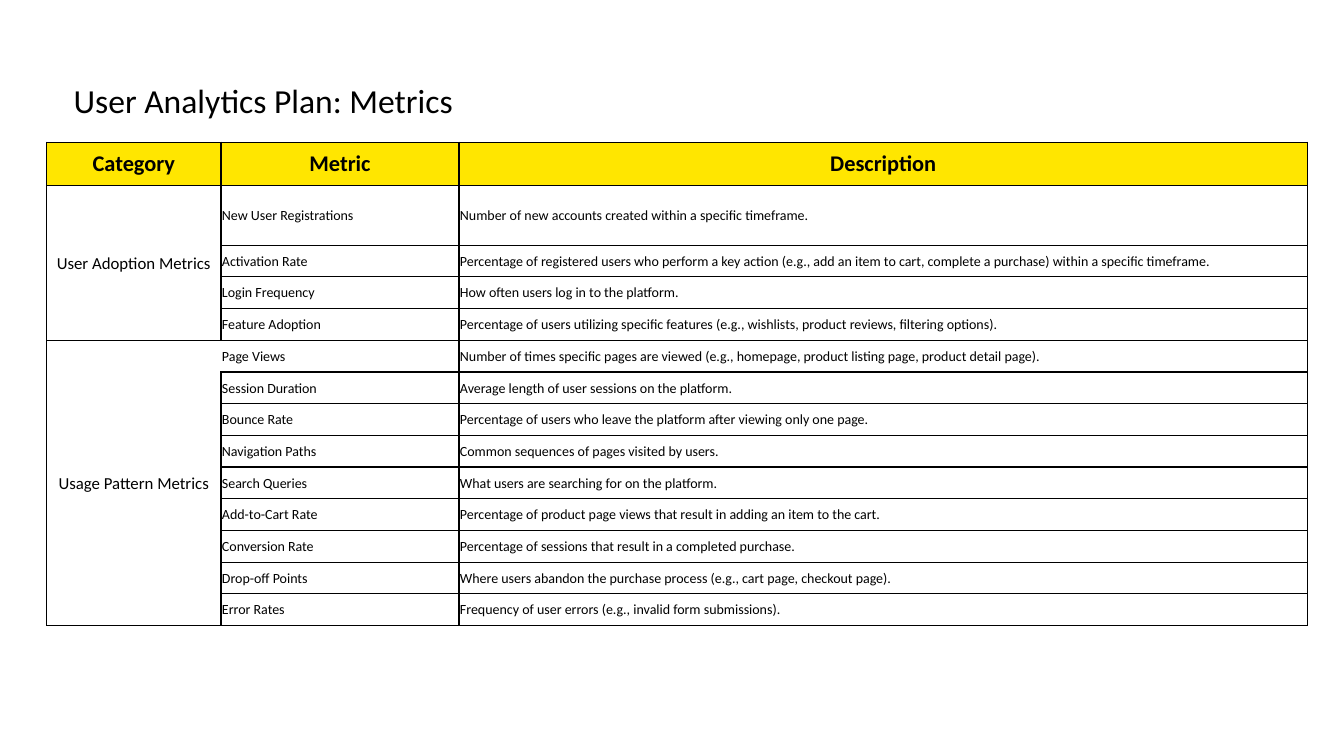
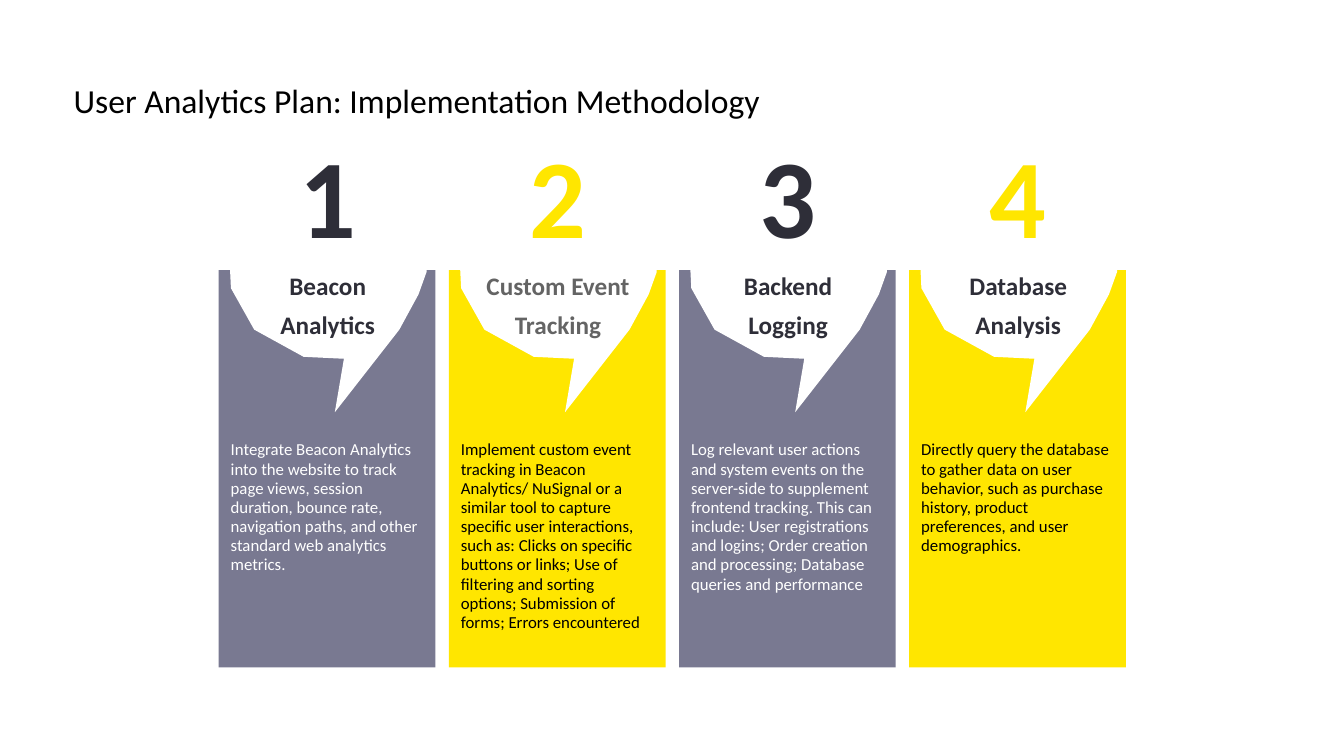
from dataclasses import dataclass

from lxml import etree
from pptx import Presentation
from pptx.dml.color import RGBColor
from pptx.enum.shapes import MSO_SHAPE
from pptx.enum.text import MSO_ANCHOR, MSO_AUTO_SIZE, PP_ALIGN
from pptx.oxml.ns import qn
from pptx.slide import Slide
from pptx.util import Pt

RECTANGLE = MSO_SHAPE.RECTANGLE
TOP, MIDDLE = MSO_ANCHOR.TOP, MSO_ANCHOR.MIDDLE
LEFT, CENTER = PP_ALIGN.LEFT, PP_ALIGN.CENTER
GROW = MSO_AUTO_SIZE.SHAPE_TO_FIT_TEXT

COLORS = {
    "black": "000000",
    "white": "FFFFFF",
    "yellow": "FFE600",
    "slate": "797991",
    "ink": "2E2E38",
    "gray": "646464",
}
FONT = "Calibri"

HEADERS = ("Category", "Metric", "Description")
COLUMN_WIDTHS = (124.6, 170, 606)
HEADER_HEIGHT, FIRST_HEIGHT, ROW_HEIGHT = 31, 42.6, 22.65
TABLE_LEFT, TABLE_TOP = 33.3, 101.5

CARD_LEFT, CARD_TOP, CARD_WIDTH, CARD_HEIGHT = 156.2, 193, 154.8, 283.7
CARD_PITCH = 164.4
BUBBLE_INDENT, BUBBLE_TOP = 7.4, 114.5
BUBBLE_OUTLINE = (
    (16.6, 23.8), (41, 6.5), (64.8, 0), (95, 3.6), (121, 21.6), (134.6, 40.3),
    (141.1, 62.6), (141.1, 79.9), (135.4, 95.8), (121.7, 121), (75.6, 180),
    (82.1, 141.8), (53.3, 140.4), (18, 121), (1.4, 91.4), (0, 62.6), (7.2, 35.3),
)


@dataclass(frozen=True)
class MetricGroup:
    category: str
    metrics: tuple[tuple[str, str], ...]
    open_start: bool = False


@dataclass(frozen=True)
class Step:
    heading: tuple[str, ...]
    detail: str
    card: str
    detail_color: str
    number_color: str
    heading_color: str = "ink"


GROUPS = (
    MetricGroup("User Adoption Metrics", (
        ("New User Registrations", "Number of new accounts created within a specific timeframe."),
        ("Activation Rate", "Percentage of registered users who perform a key action (e.g., add an item "
         "to cart, complete a purchase) within a specific timeframe."),
        ("Login Frequency", "How often users log in to the platform."),
        ("Feature Adoption", "Percentage of users utilizing specific features (e.g., wishlists, "
         "product reviews, filtering options)."),
    )),
    MetricGroup("Usage Pattern Metrics", (
        ("Page Views", "Number of times specific pages are viewed (e.g., homepage, "
         "product listing page, product detail page)."),
        ("Session Duration", "Average length of user sessions on the platform."),
        ("Bounce Rate", "Percentage of users who leave the platform after viewing only one page."),
        ("Navigation Paths", "Common sequences of pages visited by users."),
        ("Search Queries", "What users are searching for on the platform."),
        ("Add-to-Cart Rate", "Percentage of product page views that result in adding an item to the cart."),
        ("Conversion Rate", "Percentage of sessions that result in a completed purchase."),
        ("Drop-off Points", "Where users abandon the purchase process (e.g., cart page, checkout page)."),
        ("Error Rates", "Frequency of user errors (e.g., invalid form submissions)."),
    ), open_start=True),
)

STEPS = (
    Step(("Beacon", "Analytics"),
         "Integrate Beacon Analytics into the website to track page views, session duration, "
         "bounce rate, navigation paths, and other standard web analytics metrics.",
         "slate", "white", "ink"),
    Step(("Custom Event Tracking",),
         "Implement custom event tracking in Beacon Analytics/ NuSignal or a similar tool to capture "
         "specific user interactions, such as: Clicks on specific buttons or links; Use of filtering "
         "and sorting options; Submission of forms; Errors encountered",
         "yellow", "black", "yellow", "gray"),
    Step(("Backend", "Logging"),
         "Log relevant user actions and system events on the server-side to supplement frontend "
         "tracking. This can include: User registrations and logins; Order creation and processing; "
         "Database queries and performance",
         "slate", "white", "ink"),
    Step(("Database Analysis",),
         "Directly query the database to gather data on user behavior, such as purchase history, "
         "product preferences, and user demographics.",
         "yellow", "black", "yellow"),
)


def rgb(name: str) -> RGBColor:
    return RGBColor.from_string(COLORS[name])


def style(font, size: float, color: str, bold: bool = False) -> None:
    font.name, font.size, font.bold = FONT, Pt(size), bold
    font.color.rgb = rgb(color)


def set_margins(holder, left: float, top: float, right: float, bottom: float) -> None:
    holder.margin_left, holder.margin_top = Pt(left), Pt(top)
    holder.margin_right, holder.margin_bottom = Pt(right), Pt(bottom)


def paint(shape, color: str) -> None:
    shape.shadow.inherit = False
    shape.fill.solid()
    shape.fill.fore_color.rgb = rgb(color)
    shape.line.fill.background()


def add_title(slide: Slide, text: str, width: float) -> None:
    title = slide.shapes.add_textbox(Pt(52.6), Pt(57), Pt(width), Pt(28.8)).text_frame
    set_margins(title, 0, 0, 0, 0)
    title.word_wrap = False
    title.auto_size = GROW
    title.text = text
    style(title.paragraphs[0].font, 24, "black")


def set_borders(cell, hidden: str = "") -> None:
    properties = cell._tc.get_or_add_tcPr()
    for side in "LRTB":
        border = etree.SubElement(properties, qn(f"a:ln{side}"), w=str(Pt(1)))
        if side == hidden:
            etree.SubElement(border, qn("a:noFill"))
        else:
            fill = etree.SubElement(border, qn("a:solidFill"))
            etree.SubElement(fill, qn("a:srgbClr"), val=COLORS["black"])


def fill_cell(cell, text: str, size: float, align=LEFT, fill: str = "white",
              bold: bool = False, hidden: str = "") -> None:
    set_borders(cell, hidden)
    cell.fill.solid()
    cell.fill.fore_color.rgb = rgb(fill)
    cell.vertical_anchor = MIDDLE
    set_margins(cell, 0.7, 0.7, 0.7, 0)
    cell.text = text
    paragraph = cell.text_frame.paragraphs[0]
    paragraph.alignment = align
    style(paragraph.font, size, "black", bold)


def add_metrics_table(slide: Slide) -> None:
    metric_count = sum(len(group.metrics) for group in GROUPS)
    heights = [HEADER_HEIGHT, FIRST_HEIGHT] + [ROW_HEIGHT] * (metric_count - 1)
    table = slide.shapes.add_table(
        len(heights), len(HEADERS), Pt(TABLE_LEFT), Pt(TABLE_TOP),
        Pt(sum(COLUMN_WIDTHS)), Pt(sum(heights))).table
    table.first_row = table.horz_banding = False
    for column, width in zip(table.columns, COLUMN_WIDTHS):
        column.width = Pt(width)
    for row, height in zip(table.rows, heights):
        row.height = Pt(height)
    for index, header in enumerate(HEADERS):
        fill_cell(table.cell(0, index), header, 16, CENTER, "yellow", bold=True)
    start = 1
    for group in GROUPS:
        end = start + len(group.metrics)
        for row, (metric, description) in enumerate(group.metrics, start):
            is_open = group.open_start and row == start
            category = group.category if row == start else ""
            fill_cell(table.cell(row, 0), category, 12, CENTER, hidden="R" if is_open else "")
            fill_cell(table.cell(row, 1), metric, 10, hidden="L" if is_open else "")
            fill_cell(table.cell(row, 2), description, 10)
        table.cell(start, 0).merge(table.cell(end - 1, 0))
        start = end


def add_card(slide: Slide, step: Step, left: float) -> None:
    card = slide.shapes.add_shape(RECTANGLE, Pt(left), Pt(CARD_TOP), Pt(CARD_WIDTH), Pt(CARD_HEIGHT))
    paint(card, step.card)
    frame = card.text_frame
    frame.word_wrap = True
    frame.vertical_anchor = TOP
    set_margins(frame, 8.6, 121.7, 8.6, 0)
    frame.text = step.detail
    detail = frame.paragraphs[0]
    detail.alignment = LEFT
    detail.line_spacing = 0.95
    detail.space_after = Pt(8)
    style(detail.font, 12, step.detail_color)


def add_bubble(slide: Slide, step: Step, number: int, left: float) -> None:
    corners = [(Pt(left + x), Pt(BUBBLE_TOP + y)) for x, y in BUBBLE_OUTLINE]
    builder = slide.shapes.build_freeform(*corners[0])
    builder.add_line_segments(corners[1:], close=True)
    bubble = builder.convert_to_shape()
    paint(bubble, "white")
    frame = bubble.text_frame
    frame.word_wrap = True
    frame.vertical_anchor = MIDDLE
    set_margins(frame, 7.2, 3.6, 7.2, 11.5)
    for index, line in enumerate(step.heading):
        paragraph = frame.add_paragraph() if index else frame.paragraphs[0]
        paragraph.alignment = CENTER
        paragraph.line_spacing = Pt(28)
        style(paragraph.font, 18, step.heading_color, bold=True)
        if index == 0:
            numeral = paragraph.add_run()
            numeral.text = str(number)
            style(numeral.font, 80, step.number_color, bold=True)
            paragraph.add_line_break()
        paragraph.add_run().text = line


def main() -> None:
    deck = Presentation()
    deck.slide_width, deck.slide_height = Pt(960), Pt(540)
    blank = deck.slide_layouts[6]

    metrics = deck.slides.add_slide(blank)
    add_title(metrics, "User Analytics Plan: Metrics", 278.6)
    add_metrics_table(metrics)

    methodology = deck.slides.add_slide(blank)
    add_title(methodology, "User Analytics Plan: Implementation Methodology", 495.4)
    for index, step in enumerate(STEPS):
        left = CARD_LEFT + index * CARD_PITCH
        add_card(methodology, step, left)
        add_bubble(methodology, step, index + 1, left + BUBBLE_INDENT)

    deck.save("out.pptx")


if __name__ == "__main__":
    main()
